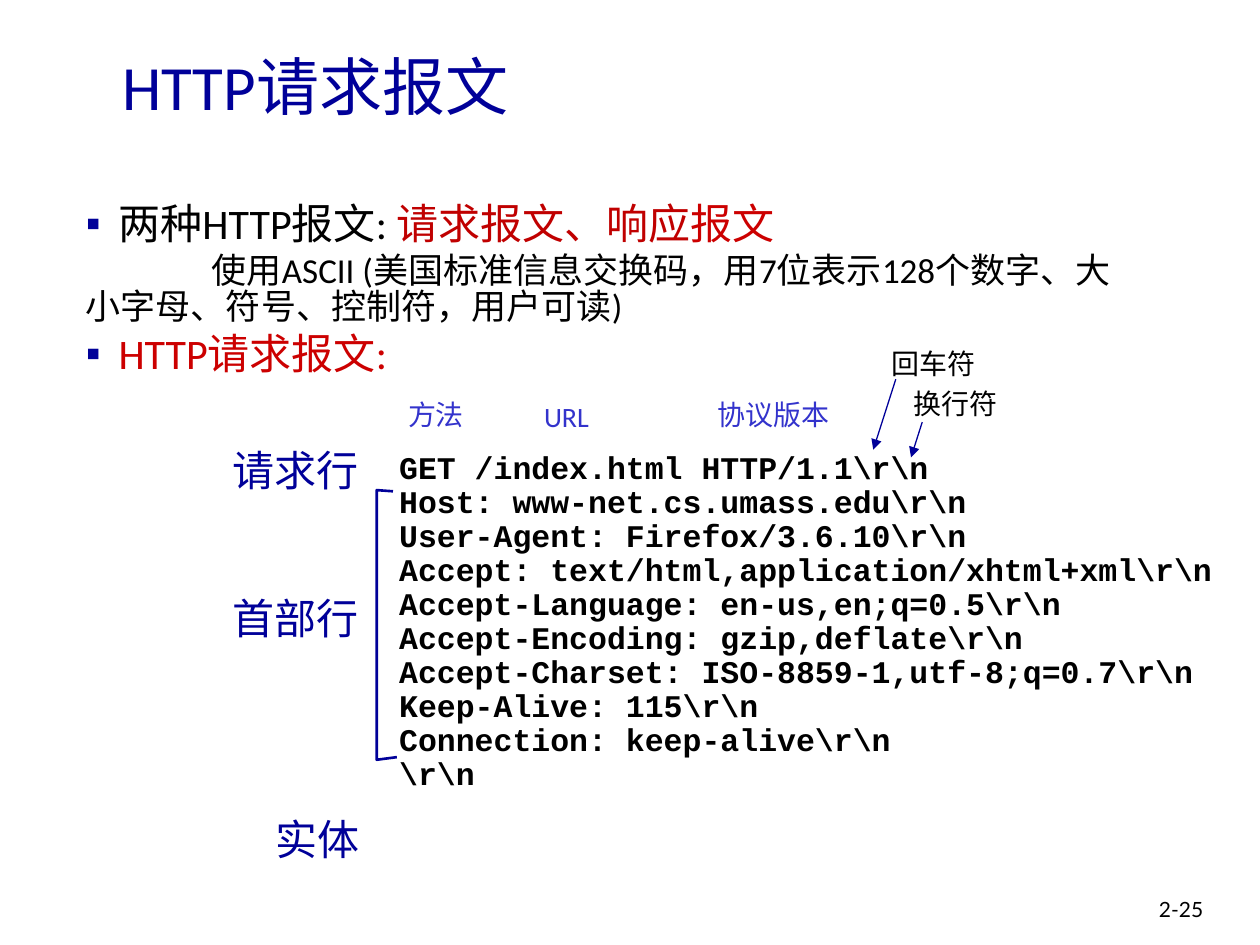
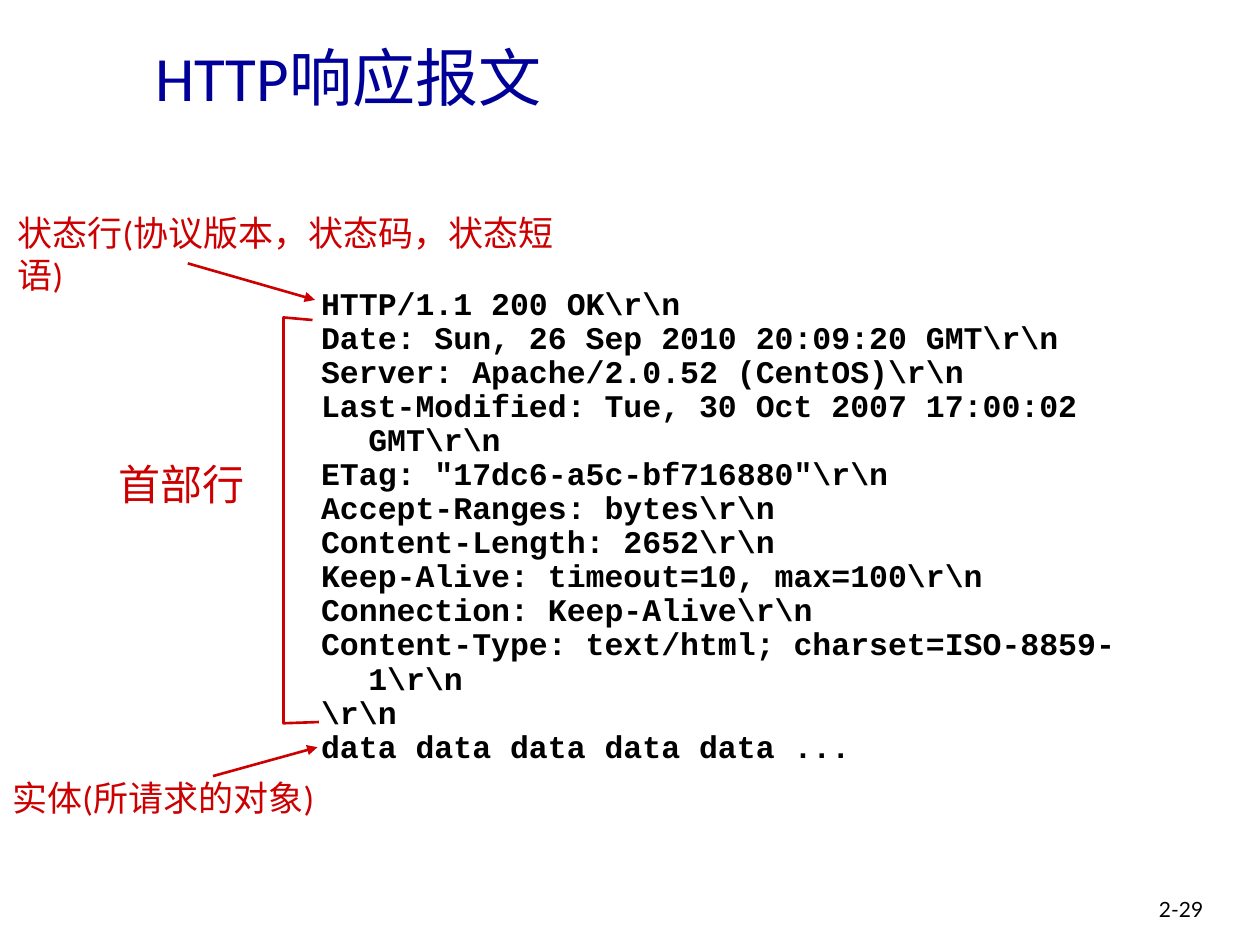
from lxml.etree import SubElement
from pptx import Presentation
from pptx.dml.color import RGBColor
from pptx.enum.shapes import MSO_CONNECTOR
from pptx.enum.text import MSO_ANCHOR, MSO_AUTO_SIZE, PP_ALIGN
from pptx.oxml.ns import qn
from pptx.util import Pt

NAVY = "000099"
BLUE = "3333CC"
RED = "CC0000"
DARK_RED = "C00000"
BLACK = "000000"
CHINESE_FONT = "Noto Sans CJK SC"
TITLE_AND_BODY, TITLE_ONLY = 1, 5

REQUEST_LINES = r"""GET /index.html HTTP/1.1\r\n
Host: www-net.cs.umass.edu\r\n
User-Agent: Firefox/3.6.10\r\n
Accept: text/html,application/xhtml+xml\r\n
Accept-Language: en-us,en;q=0.5\r\n
Accept-Encoding: gzip,deflate\r\n
Accept-Charset: ISO-8859-1,utf-8;q=0.7\r\n
Keep-Alive: 115\r\n
Connection: keep-alive\r\n
\r\n""".split("\n")

RESPONSE_LINES = r"""HTTP/1.1 200 OK\r\n
Date: Sun, 26 Sep 2010 20:09:20 GMT\r\n
Server: Apache/2.0.52 (CentOS)\r\n
Last-Modified: Tue, 30 Oct 2007 17:00:02 GMT\r\n
ETag: "17dc6-a5c-bf716880"\r\n
Accept-Ranges: bytes\r\n
Content-Length: 2652\r\n
Keep-Alive: timeout=10, max=100\r\n
Connection: Keep-Alive\r\n
Content-Type: text/html; charset=ISO-8859-1\r\n
\r\n
data data data data data ...""".split("\n")


def color(value):
    return RGBColor.from_string(value)


class MessageDeck:
    def __init__(self):
        self.presentation = Presentation()
        self.presentation.slide_width = Pt(720)
        self.presentation.slide_height = Pt(540)
        self.slide = None

    def start_slide(self, layout, title, title_box, number):
        layouts = self.presentation.slide_layouts
        self.slide = self.presentation.slides.add_slide(layouts[layout])
        shape = self.slide.shapes.title
        self.place(shape, title_box)
        shape.text_frame.vertical_anchor = MSO_ANCHOR.MIDDLE
        paragraph = shape.text_frame.paragraphs[0]
        paragraph.alignment = PP_ALIGN.LEFT
        self.run(paragraph, title, 36, NAVY)
        self.label(number, (655.2, 509, 53.3, 21.6), 12, BLACK, font="Lato")

    def place(self, shape, box):
        shape.left, shape.top, shape.width, shape.height = map(Pt, box)

    def run(self, paragraph, text, size, text_color, font="Calibri", bold=False):
        run = paragraph.add_run()
        run.text = text
        run.font.size = Pt(size)
        run.font.bold = bold
        run.font.color.rgb = color(text_color)
        run.font.name = font
        properties = run.font._element
        SubElement(properties, qn("a:ea")).set("typeface", CHINESE_FONT)

    def paragraph(self, frame, index):
        return frame.add_paragraph() if index else frame.paragraphs[0]

    def indent(self, paragraph, left, first):
        properties = paragraph._p.get_or_add_pPr()
        properties.set("marL", str(Pt(left)))
        properties.set("indent", str(Pt(first)))
        return properties

    def body(self, box, items):
        shape = self.slide.placeholders[1]
        self.place(shape, box)
        frame = shape.text_frame
        frame.auto_size = MSO_AUTO_SIZE.NONE
        for index, (level, size, runs) in enumerate(items):
            paragraph = self.paragraph(frame, index)
            if level:
                properties = self.indent(paragraph, 0, 72)
                SubElement(properties, qn("a:buNone"))
            else:
                properties = self.indent(paragraph, 18.7, -18.7)
                bullet_color = SubElement(properties, qn("a:buClr"))
                SubElement(bullet_color, qn("a:srgbClr")).set("val", NAVY)
                SubElement(properties, qn("a:buFont")).set("typeface", "Arial")
                SubElement(properties, qn("a:buChar")).set("char", "▪")
            paragraph.level = level
            paragraph.line_spacing = 0.85
            paragraph.space_before = Pt(size * 0.2 if index else 0)
            for text, text_color in runs:
                self.run(paragraph, text, size, text_color)

    def text_frame(self, box, wrap):
        frame = self.slide.shapes.add_textbox(*map(Pt, box)).text_frame
        frame.word_wrap = wrap
        frame.auto_size = MSO_AUTO_SIZE.SHAPE_TO_FIT_TEXT
        return frame

    def label(self, text, box, size, text_color, align=PP_ALIGN.LEFT,
              wrap=False, font="Calibri"):
        paragraph = self.text_frame(box, wrap).paragraphs[0]
        paragraph.alignment = align
        self.run(paragraph, text, size, text_color, font)

    def code(self, lines, box, wrap):
        frame = self.text_frame(box, wrap)
        for index, line in enumerate(lines):
            paragraph = self.paragraph(frame, index)
            self.indent(paragraph, 27, -27)
            paragraph.line_spacing = 0.9
            self.run(paragraph, line, 18, BLACK, "Courier New", bold=True)

    def bracket(self, points, line_color):
        start, *rest = [tuple(map(Pt, point)) for point in points]
        builder = self.slide.shapes.build_freeform(*start)
        builder.add_line_segments(rest, close=False)
        shape = builder.convert_to_shape()
        shape.shadow.inherit = False
        shape.fill.background()
        shape.line.color.rgb = color(line_color)
        shape.line.width = Pt(1.5)

    def arrow(self, start, end, line_color, width):
        connector = self.slide.shapes.add_connector(
            MSO_CONNECTOR.STRAIGHT, *map(Pt, start + end))
        connector.line.color.rgb = color(line_color)
        connector.line.width = Pt(width)
        line = connector.line._get_or_add_ln()
        SubElement(line, qn("a:tailEnd")).set("type", "triangle")
        SubElement(connector._element.spPr, qn("a:effectLst"))


def add_request(deck):
    deck.start_slide(TITLE_AND_BODY, "HTTP请求报文", (62.6, 13, 612, 72), "2-25")
    deck.body((41.8, 113.8, 606, 365.8), [
        (0, 24, [("两种HTTP报文: ", BLACK), ("请求报文、响应", DARK_RED), ("报文", RED)]),
        (1, 20, [("使用ASCII (美国标准信息交换码，用7位表示128个数字、"
                  "大小字母、符号、控制符，用户可读)", BLACK)]),
        (0, 24, [("HTTP请求报文:", RED)]),
    ])
    deck.code(REQUEST_LINES, (221, 254.9, 483.8, 203.8), wrap=False)
    deck.bracket([(224.6, 280.8), (215.3, 280.1), (215.3, 434.2), (226.8, 432.7)], NAVY)
    for text, left, top, width in [
        ("请求行", 124.6, 250.6, 87.1),
        ("首部行", 124.6, 334.8, 87.1),
        ("实体", 149, 461.5, 63.4),
    ]:
        deck.label(text, (left, top, width, 36), 24, NAVY, PP_ALIGN.RIGHT)
    for text, left, top, width, text_color in [
        ("方法", 226.1, 223.9, 46.8, BLUE),
        ("URL", 303.8, 224.6, 43.9, BLUE),
        ("协议版本", 403.2, 223.9, 79.2, BLUE),
        ("回车符", 502.6, 194.4, 63.4, BLACK),
        ("换行符", 514.8, 217.4, 63.4, BLACK),
    ]:
        deck.label(text, (left, top, width, 26.6), 16, text_color)
    deck.arrow((511.9, 216.7), (499, 257), NAVY, 0.75)
    deck.arrow((527, 241.2), (520.6, 261.4), NAVY, 0.75)


def add_response(deck):
    deck.start_slide(TITLE_ONLY, "HTTP响应报文", (81.4, 5, 612, 77), "2-29")
    deck.label("状态行(协议版本，状态码，状态短语)", (2.9, 117.4, 337.7, 31.7), 20, RED,
               wrap=True)
    deck.label("首部行", (59.8, 258.5, 87.1, 36), 24, RED, PP_ALIGN.RIGHT)
    deck.label("实体(所请求的对象)", (0, 439.9, 252, 31.7), 20, RED, wrap=True)
    deck.bracket([(178.6, 182.9), (162, 181.4), (162, 413.3), (182.2, 412.6)], RED)
    deck.arrow((107.3, 150.5), (180, 171.4), RED, 1.5)
    deck.arrow((121.7, 443.5), (181.4, 427), RED, 1.5)
    deck.code(RESPONSE_LINES, (176.4, 161.3, 496.8, 280.1), wrap=True)


def main():
    deck = MessageDeck()
    add_request(deck)
    add_response(deck)
    deck.presentation.save("out.pptx")


if __name__ == "__main__":
    main()
